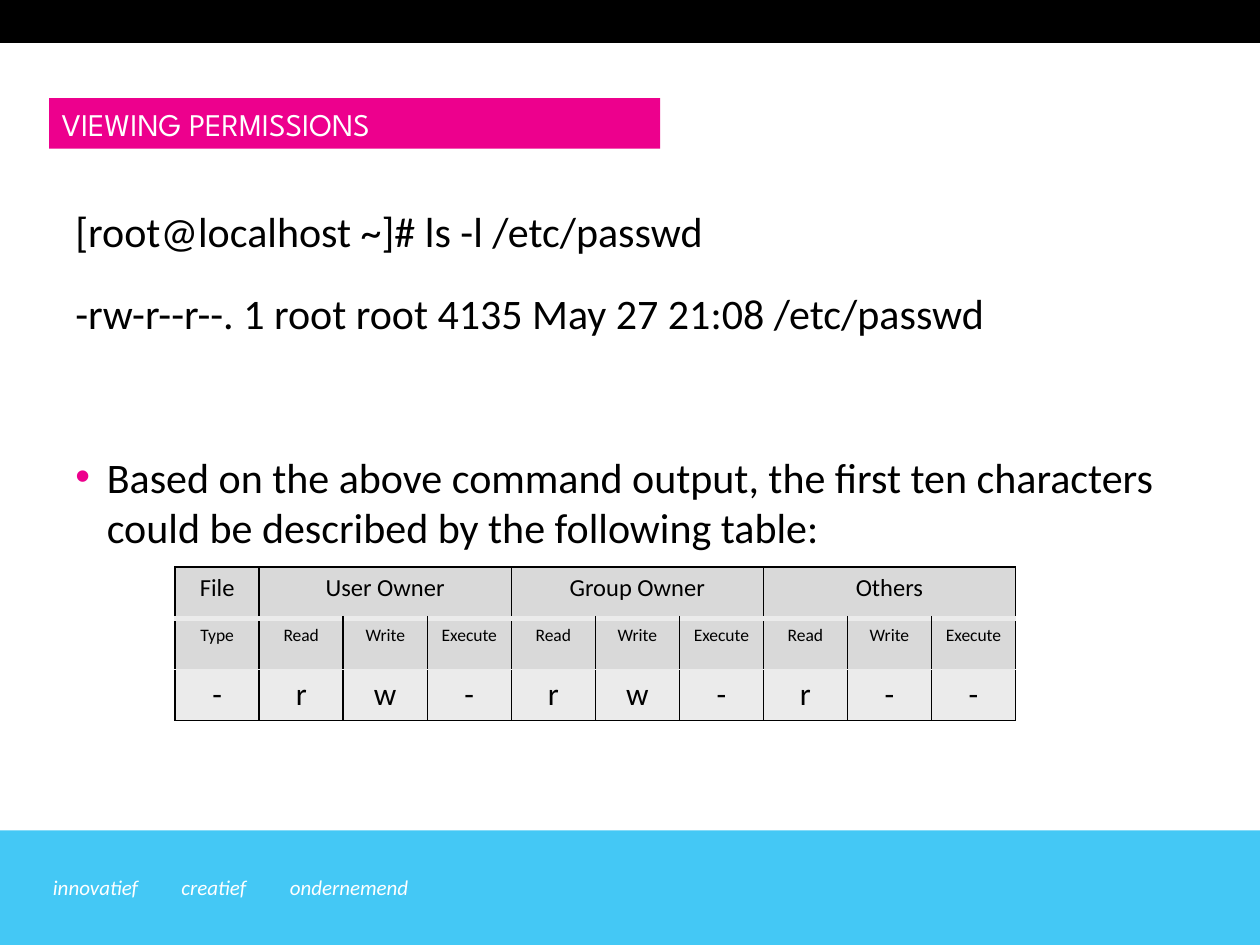
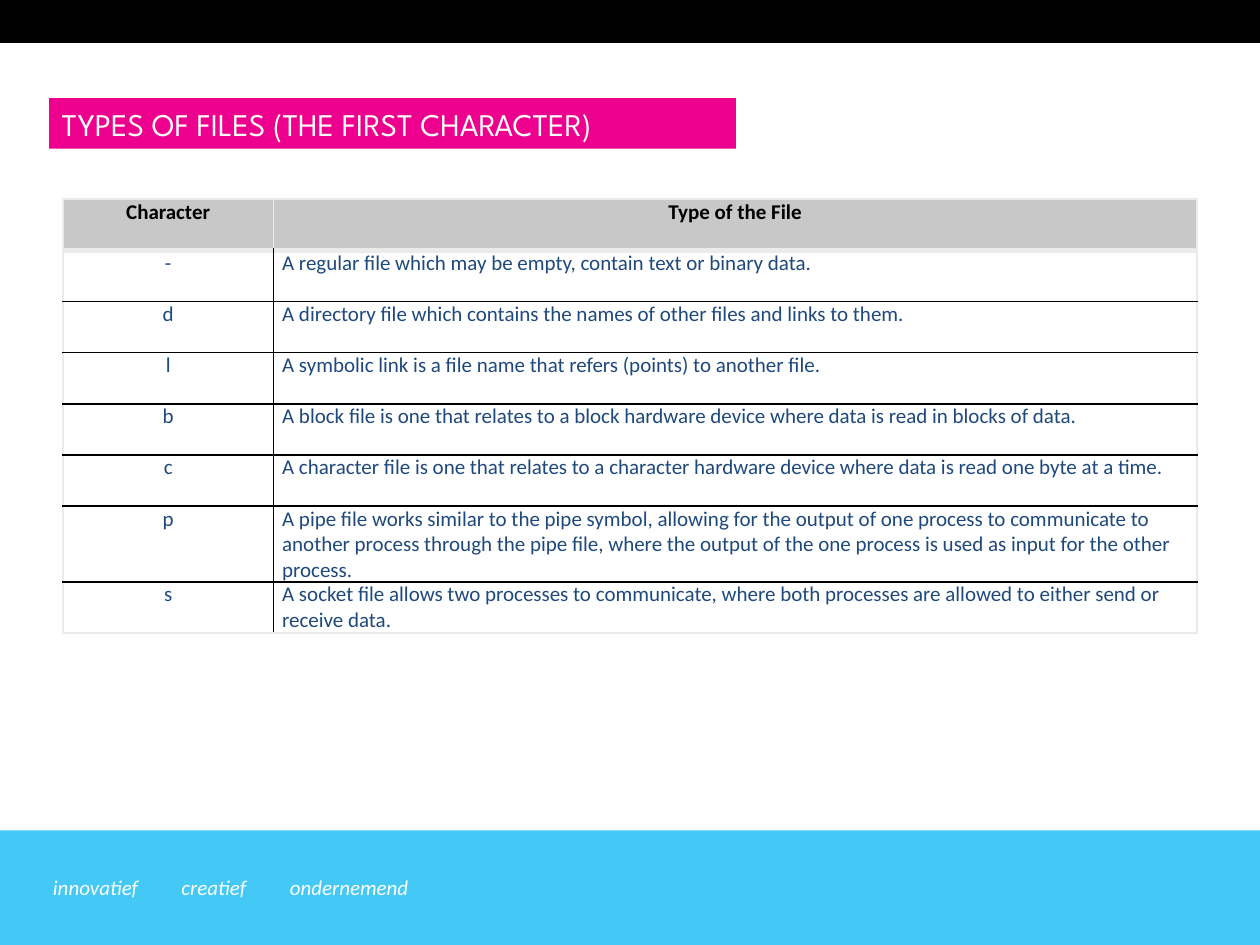
"""Build two slides on file permissions and file types."""
from lxml import etree
from pptx import Presentation
from pptx import util as u
from pptx.dml.color import RGBColor
from pptx.enum import shapes, text
from pptx.oxml import ns

COLOURS = {
    "black": "000000", "white": "FFFFFF", "sky": "44C8F5", "pink": "ED008D",
    "navy": "1F497D", "pale": "EBEBEB", "grey": "D9D9D9", "header": "C8C8C8",
}
BODY_FONT, TITLE_FONT = "Calibri", "League Spartan"
ROW_HEIGHT = 1.22 / 3
FOOTER = [("innovatief", 0.42, 0.78), ("creatief", 1.44, 0.62), ("ondernemend", 2.3, 1.05)]
BLACK_LINE, PALE_LINE, THICK_PALE = ("black", 1), ("pale", 1), ("pale", 3)

OWNERS = ["User Owner", "Group Owner", "Others"]
PERMISSIONS = [
    ["File"] + [label for owner in OWNERS for label in (owner, "", "")],
    ["Type"] + ["Read", "Write", "Execute"] * len(OWNERS),
    list("-rw-rw-r--"),
]
FILE_TYPES = [
    ("Character", "Type of the File"),
    ("-", "A regular file which may be empty, contain text or binary data."),
    ("d", "A directory file which contains the names of other files and links to them."),
    ("l", "A symbolic link is a file name that refers (points) to another file."),
    ("b", "A block file is one that relates to a block hardware device where data is read "
          "in blocks of data."),
    ("c", "A character file is one that relates to a character hardware device where data "
          "is read one byte at a time."),
    ("p", "A pipe file works similar to the pipe symbol, allowing for the output of one "
          "process to communicate to another process through the pipe file, where the output "
          "of the one process is used as input for the other process."),
    ("s", "A socket file allows two processes to communicate, where both processes are "
          "allowed to either send or receive data."),
]


def colour(name):
    return RGBColor.from_string(COLOURS[name])


def write(para, words, size=12, font=BODY_FONT, ink="black", bold=False, italic=False,
          centred=False, before=0):
    span = para.add_run()
    span.text = words
    span.font.size = u.Pt(size)
    span.font.name = font
    span.font.color.rgb = colour(ink)
    span.font.bold = bold
    span.font.italic = italic
    para.alignment = text.PP_ALIGN.CENTER if centred else text.PP_ALIGN.LEFT
    para.space_before = u.Pt(before)


def add_bullet(para, ink):
    props = para._p.get_or_add_pPr()
    props.set("marL", str(u.Inches(0.25)))
    props.set("indent", str(-u.Inches(0.25)))
    tint = etree.SubElement(props, ns.qn("a:buClr"))
    etree.SubElement(tint, ns.qn("a:srgbClr"), val=COLOURS[ink])
    etree.SubElement(props, ns.qn("a:buFont"), typeface="Arial")
    etree.SubElement(props, ns.qn("a:buChar"), char="•")


def add_borders(cell, **sides):
    props = cell._tc.get_or_add_tcPr()
    for side in "LRTB":
        ink, points = sides[side]
        line = etree.SubElement(props, ns.qn(f"a:ln{side}"), w=str(u.Pt(points)))
        fill = etree.SubElement(line, ns.qn("a:solidFill"))
        etree.SubElement(fill, ns.qn("a:srgbClr"), val=COLOURS[ink])


class Deck:
    def __init__(self):
        self.file = Presentation()
        self.file.slide_width = u.Inches(10)
        self.file.slide_height = u.Inches(7.5)
        self.page = None

    def start_page(self, title, title_width):
        self.page = self.file.slides.add_slide(self.file.slide_layouts[6])
        self.band(0, 6.59, 10, 0.91, "sky")
        self.band(0, 0, 10, 0.34, "black")
        for word, left, width in FOOTER:
            frame = self.text_box(left, 6.89, width, 0.3, wrap=False)
            frame.margin_left = 0
            write(frame.paragraphs[0], word, ink="white", italic=True)
        frame = self.band(0.39, 0.78, title_width, 0.4, "pink").text_frame
        frame.vertical_anchor = text.MSO_ANCHOR.MIDDLE
        write(frame.paragraphs[0], title, size=18, font=TITLE_FONT, ink="white")

    def band(self, left, top, width, height, fill):
        box = self.page.shapes.add_shape(
            shapes.MSO_SHAPE.RECTANGLE, *map(u.Inches, (left, top, width, height)))
        box.shadow.inherit = False
        box.fill.solid()
        box.fill.fore_color.rgb = colour(fill)
        box.line.fill.background()
        return box

    def text_box(self, left, top, width, height, wrap=True):
        box = self.page.shapes.add_textbox(*map(u.Inches, (left, top, width, height)))
        box.text_frame.word_wrap = wrap
        return box.text_frame

    def table(self, left, top, widths, rows, row_lines, column_lines, style_cell):
        height = ROW_HEIGHT * len(rows)
        grid = self.page.shapes.add_table(
            len(rows), len(widths),
            *map(u.Inches, (left, top, sum(widths), height))).table
        grid.first_row = grid.horz_banding = False
        for column, width in zip(grid.columns, widths):
            column.width = u.Inches(width)
        for r, labels in enumerate(rows):
            grid.rows[r].height = u.Inches(ROW_HEIGHT)
            verticals = column_lines(r)
            for c, label in enumerate(labels):
                if not label:
                    continue
                cell = grid.cell(r, c)
                add_borders(cell, L=verticals[c], R=verticals[c + 1],
                            T=row_lines[r], B=row_lines[r + 1])
                fill, look = style_cell(cell, r, c)
                if fill:
                    cell.fill.solid()
                    cell.fill.fore_color.rgb = colour(fill)
                else:
                    cell.fill.background()
                write(cell.text_frame.paragraphs[0], label, **look)
        return grid


def style_permission(cell, r, c):
    return ("grey", "grey", "pale")[r], {"size": (14, 10, 18)[r], "centred": True}


def style_file_type(cell, r, c):
    cell.margin_left = cell.margin_right = u.Inches(0.07)
    cell.margin_top = cell.margin_bottom = 0
    if r == 0:
        return "header", {"bold": True, "centred": True}
    return None, {"ink": "navy", "centred": c == 0}


def build_permissions(deck):
    deck.start_page("VIEWING PERMISSIONS", 4.85)
    frame = deck.text_box(0.5, 1.58, 9, 2.9)
    command, output, remark = frame.paragraphs[0], frame.add_paragraph(), frame.add_paragraph()
    write(command, "[root@localhost ~]# ls -l /etc/passwd", size=24)
    write(output, "-rw-r--r--. 1 root root 4135 May 27 21:08 /etc/passwd", size=24, before=18)
    write(remark, "Based on the above command output, the first ten characters could be "
                  "described by the following table:", size=24, before=65)
    add_bullet(remark, "pink")
    columns = len(PERMISSIONS[0])
    grid = deck.table(
        1.39, 4.5, [6.67 / columns] * columns, PERMISSIONS,
        [BLACK_LINE, THICK_PALE, PALE_LINE, BLACK_LINE],
        lambda r: [BLACK_LINE] * (columns + 1), style_permission)
    for first in range(1, columns, 3):
        grid.cell(0, first).merge(grid.cell(0, first + 2))


def build_file_types(deck):
    deck.start_page("TYPES OF FILES (THE FIRST CHARACTER)", 5.45)
    inner_lines = [BLACK_LINE] * (len(FILE_TYPES) - 2)
    deck.table(
        0.5, 1.58, [1.67, 7.33], FILE_TYPES,
        [PALE_LINE, THICK_PALE, *inner_lines, PALE_LINE],
        lambda r: [PALE_LINE, BLACK_LINE if r else PALE_LINE, PALE_LINE], style_file_type)


def main():
    deck = Deck()
    build_permissions(deck)
    build_file_types(deck)
    deck.file.save("out.pptx")


if __name__ == "__main__":
    main()
